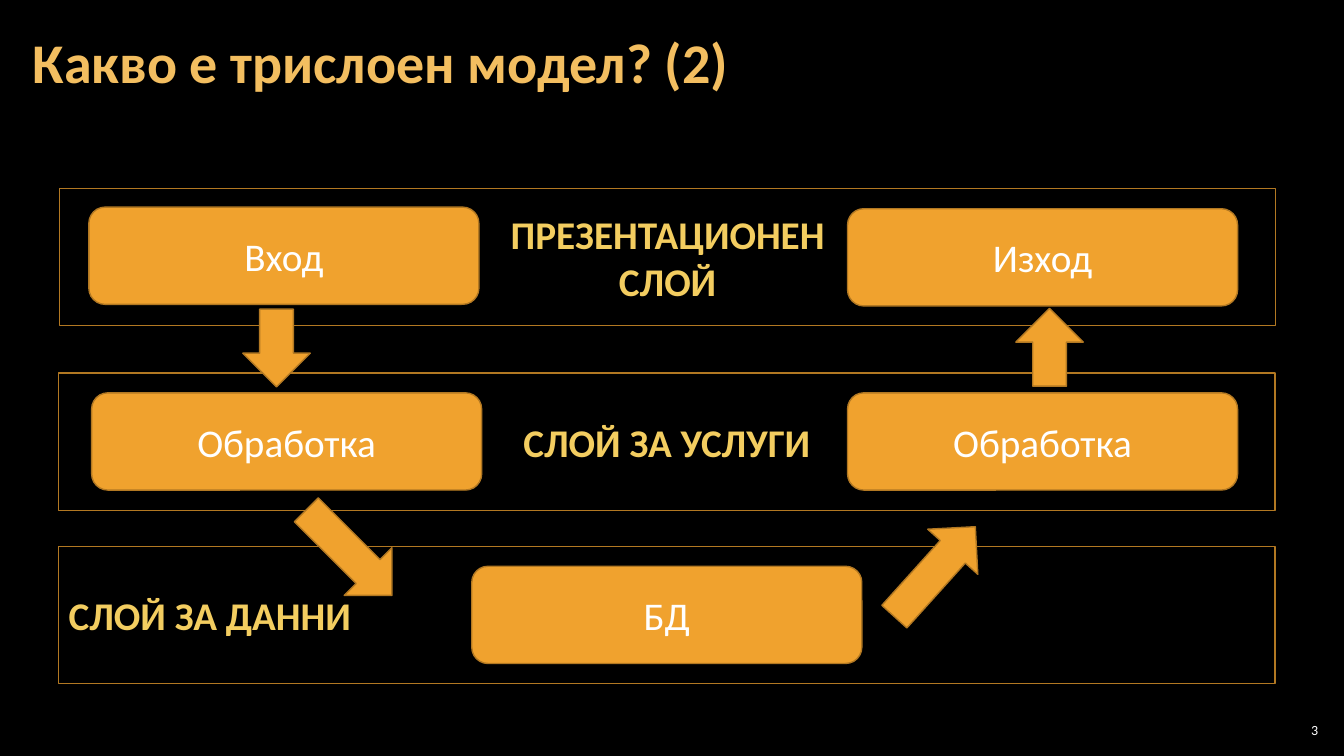
from pptx import Presentation
from pptx.dml.color import RGBColor
from pptx.enum import shapes, text
from pptx.util import Cm, Pt

BLACK = RGBColor(0x00, 0x00, 0x00)
WHITE = RGBColor(0xFF, 0xFF, 0xFF)
ORANGE = RGBColor(0xF0, 0xA2, 0x2E)
BROWN = RGBColor(0xB2, 0x78, 0x22)
PEACH = RGBColor(0xF3, 0xBE, 0x60)
YELLOW = RGBColor(0xF3, 0xCD, 0x60)
KIND = shapes.MSO_SHAPE
ALIGN = text.PP_ALIGN


def write(shape, words, size=28, color=WHITE, bold=False,
          align=ALIGN.CENTER, inset=(0.25, 0.13)):
    frame = shape.text_frame
    frame.word_wrap = True
    frame.auto_size = text.MSO_AUTO_SIZE.NONE
    frame.vertical_anchor = text.MSO_ANCHOR.MIDDLE
    frame.margin_left = frame.margin_right = Cm(inset[0])
    frame.margin_top = frame.margin_bottom = Cm(inset[1])
    para = frame.paragraphs[0]
    para.text = words
    para.alignment = align
    for run in para.runs:
        font = run.font
        font.name, font.size, font.bold = "Calibri", Pt(size), bold
        font.color.rgb = color
    return para


def draw(kind, left, top, width, height, fill=ORANGE):
    shape = slide.shapes.add_shape(
        kind, Cm(left), Cm(top), Cm(width), Cm(height))
    shape.shadow.inherit = False
    if fill is None:
        shape.fill.background()
    else:
        shape.fill.solid()
        shape.fill.fore_color.rgb = fill
    shape.line.color.rgb = BROWN
    shape.line.width = Pt(1)
    return shape


deck = Presentation()
deck.slide_width, deck.slide_height = Cm(33.87), Cm(19.05)
slide = deck.slides.add_slide(deck.slide_layouts[5])
slide.background.fill.solid()
slide.background.fill.fore_color.rgb = BLACK

title = slide.shapes.title
title.left, title.top = Cm(0.53), Cm(0.1)
title.width, title.height = Cm(32.79), Cm(3.07)
para = write(title, "Какво е трислоен модел? (2)", size=40, color=PEACH,
             bold=True, align=ALIGN.LEFT, inset=(0.3, 0.1))
para.line_spacing = 0.9

# Each layer: left, top, label, alignment, boxes as (left, top, name)
layers = [
    (1.5, 4.75, "ПРЕЗЕНТАЦИОНЕН\nСЛОЙ", ALIGN.CENTER,
     [(2.24, 5.22, "Вход"), (21.36, 5.26, "Изход")]),
    (1.48, 9.4, "СЛОЙ ЗА УСЛУГИ", ALIGN.CENTER,
     [(2.31, 9.9, "Обработка"), (21.36, 9.9, "Обработка")]),
    (1.48, 13.77, "СЛОЙ ЗА ДАННИ", ALIGN.LEFT,
     [(11.89, 14.27, "БД")]),
]
for left, top, label, align, boxes in layers:
    layer = draw(KIND.RECTANGLE, left, top, 30.65, 3.46, fill=None)
    write(layer, label, color=YELLOW, bold=True, align=align)
    for x, y, name in boxes:
        write(draw(KIND.ROUNDED_RECTANGLE, x, y, 9.83, 2.45), name)

# Left, top, length and turn of each arrow, in order of the flow
for left, top, length, turn in [
    (6.12, 7.79, 1.96, 0),
    (7.95, 12.4, 3.05, 315),
    (22.71, 12.88, 3.05, 222),
    (25.6, 7.77, 1.96, 180),
]:
    draw(KIND.DOWN_ARROW, left, top, 1.7, length).rotation = turn

number = slide.shapes.add_textbox(Cm(32.13), Cm(18.14), Cm(1.19), Cm(0.53))
write(number, "3", size=10, align=ALIGN.RIGHT, inset=(0.1, 0.1))

deck.save("out.pptx")
